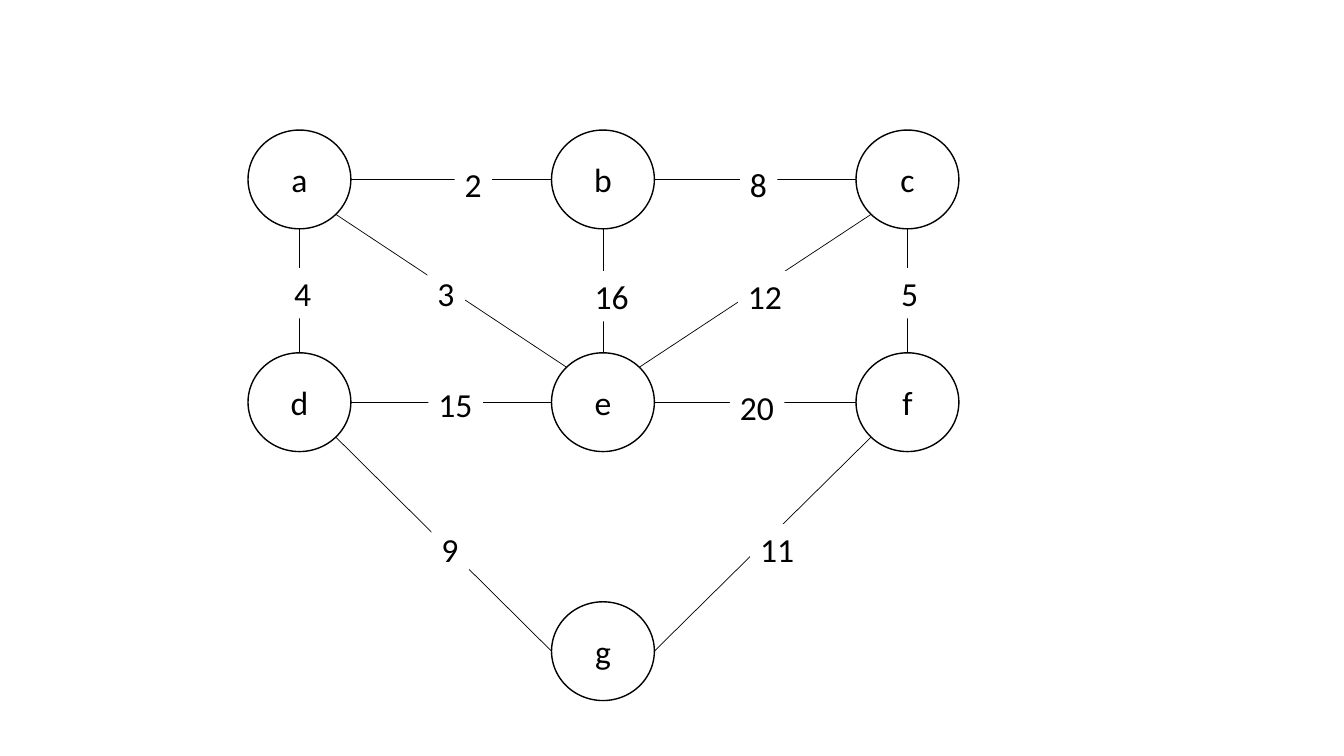
from math import sqrt

from pptx import Presentation
from pptx.dml.color import RGBColor
from pptx.enum.shapes import MSO_CONNECTOR, MSO_SHAPE
from pptx.enum.text import MSO_ANCHOR, MSO_AUTO_SIZE, PP_ALIGN
from pptx.oxml.ns import qn
from pptx.util import Inches, Pt
from lxml.etree import SubElement

BLACK = RGBColor(0x00, 0x00, 0x00)
WHITE = RGBColor(0xFF, 0xFF, 0xFF)

NODE_WIDTH, NODE_HEIGHT = 1.02, 0.98
WEIGHT_HEIGHT = 0.5
COLUMNS = (0, 3.01, 6.03)
ROWS = (0, 2.21, 4.68)

# Node name: column, row
NODES = {
    "a": (0, 0), "b": (1, 0), "c": (2, 0),
    "d": (0, 1), "e": (1, 1), "f": (2, 1),
    "g": (1, 2),
}

# Direction from a node's centre to each point on its rim
DIAGONAL = 1 / sqrt(2)
RIM = {
    "N": (0, -1), "S": (0, 1), "W": (-1, 0), "E": (1, 0),
    "NW": (-DIAGONAL, -DIAGONAL), "NE": (DIAGONAL, -DIAGONAL),
    "SW": (-DIAGONAL, DIAGONAL), "SE": (DIAGONAL, DIAGONAL),
}

# Start node and rim point, end node and rim point, weight, weight's left and top
EDGES = (
    ("a", "E", "b", "W", "2", 2.05, 0.29),
    ("b", "E", "c", "W", "8", 4.88, 0.29),
    ("a", "SE", "e", "NW", "3", 1.78, 1.37),
    ("a", "S", "d", "N", "4", 0.36, 1.37),
    ("b", "S", "e", "N", "16", 3.34, 1.4),
    ("c", "SW", "e", "NE", "12", 4.86, 1.4),
    ("c", "S", "f", "N", "5", 6.38, 1.37),
    ("d", "E", "e", "W", "15", 1.79, 2.47),
    ("e", "E", "f", "W", "20", 4.78, 2.5),
    ("f", "SW", "g", "E", "11", 4.98, 3.91),
    ("d", "SE", "g", "W", "9", 1.82, 3.91),
)


def write(shape, text):
    paragraph = shape.text_frame.paragraphs[0]
    paragraph.text = text
    paragraph.font.name = "Calibri"
    paragraph.font.size = Pt(24)
    paragraph.font.color.rgb = BLACK
    return paragraph


def add_node(slide, name, left, top):
    node = slide.shapes.add_shape(
        MSO_SHAPE.FLOWCHART_CONNECTOR, Inches(left), Inches(top),
        Inches(NODE_WIDTH), Inches(NODE_HEIGHT))
    node.shadow.inherit = False
    node.fill.background()
    node.line.color.rgb = BLACK
    node.line.width = Pt(1)
    node.text_frame.vertical_anchor = MSO_ANCHOR.MIDDLE
    write(node, name).alignment = PP_ALIGN.CENTER


def rim_point(name, side, left, top):
    column, row = NODES[name]
    across, down = RIM[side]
    return (Inches(left + COLUMNS[column] + NODE_WIDTH / 2 * (1 + across)),
            Inches(top + ROWS[row] + NODE_HEIGHT / 2 * (1 + down)))


def add_edge(slide, start, end):
    edge = slide.shapes.add_connector(MSO_CONNECTOR.STRAIGHT, *start, *end)
    edge.line.color.rgb = BLACK
    edge.line.width = Pt(0.5)
    SubElement(edge._element.spPr, qn("a:effectLst"))


def add_weight(slide, value, left, top):
    width = 0.2 + 0.17 * len(value)
    weight = slide.shapes.add_textbox(
        Inches(left), Inches(top), Inches(width), Inches(WEIGHT_HEIGHT))
    weight.fill.solid()
    weight.fill.fore_color.rgb = WHITE
    weight.text_frame.word_wrap = False
    weight.text_frame.auto_size = MSO_AUTO_SIZE.SHAPE_TO_FIT_TEXT
    write(weight, value)


def add_graph(slide, left, top):
    # Nodes
    for name, (column, row) in NODES.items():
        add_node(slide, name, left + COLUMNS[column], top + ROWS[row])
    # Edges
    for start, start_side, end, end_side, *_ in EDGES:
        add_edge(slide, rim_point(start, start_side, left, top),
                 rim_point(end, end_side, left, top))
    # Weights, on top of the edges
    for *_, value, across, down in EDGES:
        add_weight(slide, value, left + across, top + down)


def main():
    presentation = Presentation()
    presentation.slide_width = Inches(13.33)
    presentation.slide_height = Inches(7.5)
    slide = presentation.slides.add_slide(presentation.slide_layouts[6])
    add_graph(slide, left=2.46, top=1.29)
    presentation.save("out.pptx")


if __name__ == "__main__":
    main()
